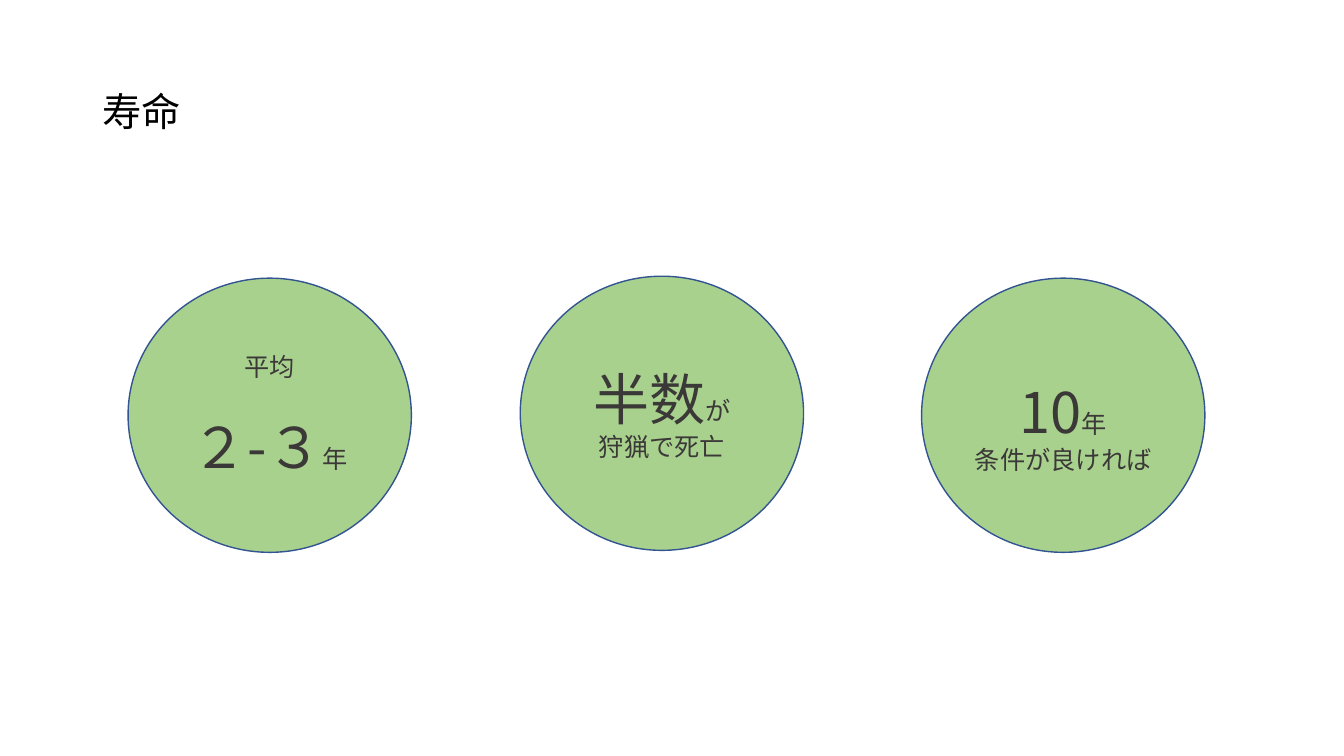
from pptx import Presentation
from pptx import util as u
from pptx.dml.color import RGBColor
from pptx.enum import shapes, text
from pptx.oxml import parse_xml
from pptx.oxml.ns import nsdecls

WIDTH, HEIGHT = 13.33, 7.5
FONT = "Noto Sans CJK JP"
CIRCLE_SIZE = (2.81, 2.72)
BIG, SMALL, TITLE = 40, 18, 28
GREEN, BLUE, GREY, BLACK = "A9D18E", "325491", "3B3838", "000000"


def color(value):
    return RGBColor.from_string(value)


def add_run(paragraph, words, size, ink):
    run = paragraph.add_run()
    run.text = words
    run.font.size = u.Pt(size)
    run.font.name = FONT
    run.font.color.rgb = color(ink)
    east_asian = parse_xml(f'<a:ea {nsdecls("a")} typeface="{FONT}"/>')
    run.font._element.find(".//{*}latin").addnext(east_asian)


def add_title(slide, words):
    box = slide.shapes.add_textbox(u.Inches(0.92), u.Inches(0.4),
                                   u.Inches(11.5), u.Inches(1.45))
    frame = box.text_frame
    frame.word_wrap = True
    frame.vertical_anchor = text.MSO_ANCHOR.MIDDLE
    frame.paragraphs[0].line_spacing = 0.9
    add_run(frame.paragraphs[0], words, TITLE, BLACK)


def add_circle(slide, left, top, lines, gap=0, first_spacing=1.0, bottom=0.05):
    """Draw a circle of centred lines; gap is the space before the second, in points."""
    circle = slide.shapes.add_shape(shapes.MSO_SHAPE.OVAL, u.Inches(left), u.Inches(top),
                                    *map(u.Inches, CIRCLE_SIZE))
    circle.shadow.inherit = False
    circle.fill.solid()
    circle.fill.fore_color.rgb = color(GREEN)
    circle.line.color.rgb = color(BLUE)
    circle.line.width = u.Pt(1)
    frame = circle.text_frame
    frame.word_wrap = True
    frame.vertical_anchor = text.MSO_ANCHOR.MIDDLE
    frame.margin_bottom = u.Inches(bottom)
    for index, runs in enumerate(lines):
        paragraph = frame.add_paragraph() if index else frame.paragraphs[0]
        paragraph.alignment = text.PP_ALIGN.CENTER
        if index:
            paragraph.space_before = u.Pt(gap)
        else:
            paragraph.line_spacing = first_spacing
        for words, size in runs:
            add_run(paragraph, words, size, GREY)


def main():
    presentation = Presentation()
    presentation.slide_width = u.Inches(WIDTH)
    presentation.slide_height = u.Inches(HEIGHT)
    slide = presentation.slides.add_slide(presentation.slide_layouts[6])
    add_title(slide, "寿命")
    add_circle(slide, 1.27, 2.76,
               [[("平均", SMALL)], [("２-３", BIG), ("年", SMALL)]], gap=22)
    add_circle(slide, 5.16, 2.74,
               [[("半数", BIG), ("が", SMALL)], [("狩猟で死亡", SMALL)]])
    add_circle(slide, 9.14, 2.76,
               [[("10", BIG), ("年", SMALL)], [("条件が良ければ", SMALL)]],
               first_spacing=2.0, bottom=0.5)
    presentation.save("out.pptx")


if __name__ == "__main__":
    main()
